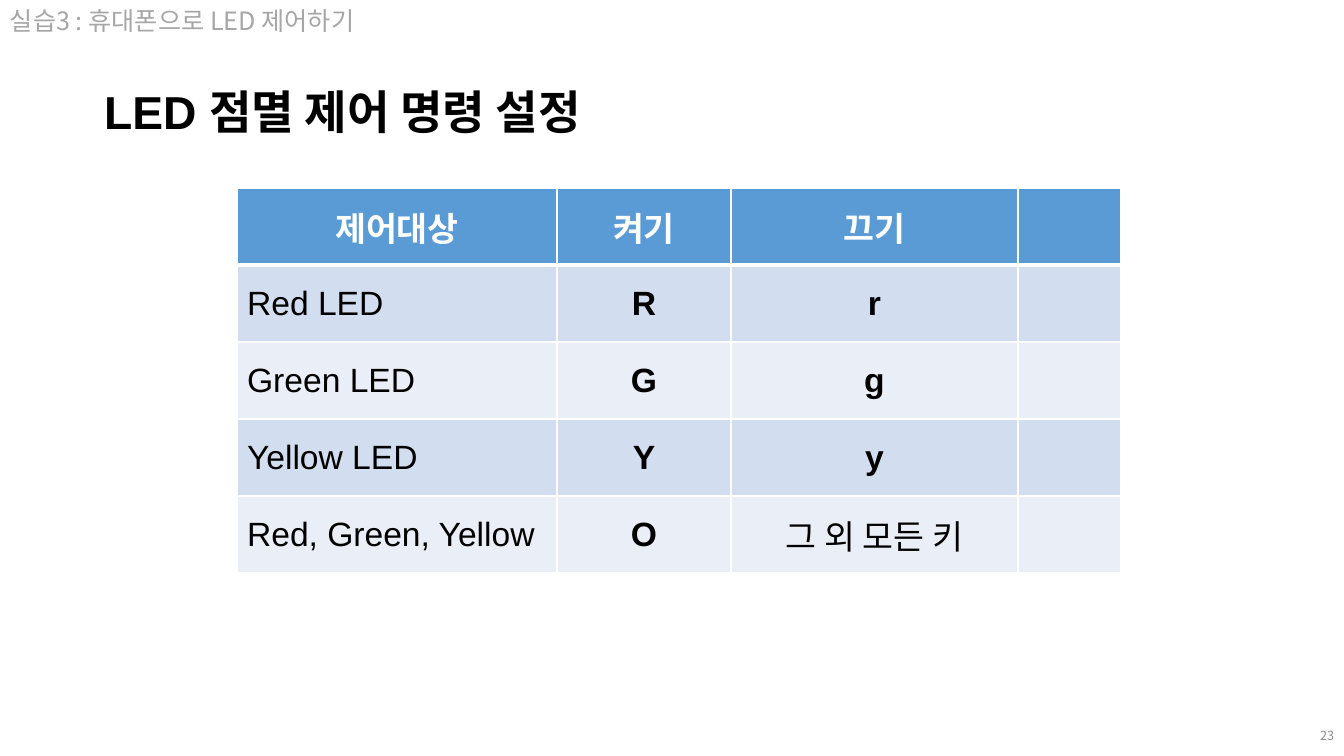
from lxml.etree import SubElement
from pptx import Presentation
from pptx.dml.color import RGBColor
from pptx.enum.text import MSO_ANCHOR, MSO_AUTO_SIZE, PP_ALIGN
from pptx.oxml import parse_xml
from pptx.oxml.ns import nsdecls, qn
from pptx.util import Emu, Pt

TITLE = "LED 점멸 제어 명령 설정"
TOPIC = "실습3 : 휴대폰으로 LED 제어하기"
PAGE = "23"
ROWS = [
    ("제어대상", "켜기", "끄기", ""),
    ("Red LED", "R", "r", ""),
    ("Green LED", "G", "g", ""),
    ("Yellow LED", "Y", "y", ""),
    ("Red, Green, Yellow", "O", "그 외 모든 키", ""),
]
WIDTHS = [320, 174, 287, 103]
HIGH = 77

LATIN = "Arial"
HANGUL = "Noto Sans CJK KR"
BLACK = RGBColor(0x00, 0x00, 0x00)
WHITE = RGBColor(0xFF, 0xFF, 0xFF)
GRAY = RGBColor(0xA6, 0xA6, 0xA6)
DIM = RGBColor(0x8C, 0x8C, 0x8C)
BLUE = RGBColor(0x5B, 0x9B, 0xD5)
BANDS = [RGBColor(0xEA, 0xEF, 0xF7), RGBColor(0xD2, 0xDE, 0xEF)]


def px(num):
    return Emu(round(num * 914400 / 100.8))


def write(frame, text, size=24, font=LATIN, color=BLACK, bold=False,
          align=PP_ALIGN.LEFT, space=None):
    para = frame.paragraphs[0]
    para.alignment = align
    para.line_spacing = space
    run = para.add_run()
    run.text = text
    run.font.size = Pt(size)
    run.font.bold = bold
    run.font.color.rgb = color
    run.font.name = font
    SubElement(run.font._element, qn("a:ea")).set("typeface", HANGUL)


def edge(cell, top, base):
    sides = [("lnL", 1), ("lnR", 1), ("lnT", top), ("lnB", base)]
    for spot, (side, wide) in enumerate(sides):
        line = parse_xml(
            f'<a:{side} {nsdecls("a")} w="{Pt(wide)}"><a:solidFill>'
            f'<a:srgbClr val="{WHITE}"/></a:solidFill></a:{side}>')
        cell._tc.get_or_add_tcPr().insert(spot, line)


deck = Presentation()
deck.slide_width, deck.slide_height = px(1344), px(756)
slide = deck.slides.add_slide(deck.slide_layouts[5])

title = slide.shapes.title
title.left, title.top, title.width, title.height = map(px, (94, 82, 869, 66))
title.text_frame.vertical_anchor = MSO_ANCHOR.MIDDLE
title.text_frame.auto_size = MSO_AUTO_SIZE.NONE
write(title.text_frame, TITLE, size=33, bold=True, space=0.9)

page = slide.shapes.add_textbox(*map(px, (1298, 716, 46, 40))).text_frame
page.word_wrap = True
page.vertical_anchor = MSO_ANCHOR.MIDDLE
write(page, PAGE, size=9, font=HANGUL, color=DIM, align=PP_ALIGN.RIGHT)

topic = slide.shapes.add_textbox(*map(px, (0, 0, 399, 40))).text_frame
topic.word_wrap = False
topic.auto_size = MSO_AUTO_SIZE.SHAPE_TO_FIT_TEXT
write(topic, TOPIC, size=18, font=HANGUL, color=GRAY)

table = slide.shapes.add_table(
    len(ROWS), len(WIDTHS),
    *map(px, (237, 188, sum(WIDTHS), HIGH * len(ROWS)))).table
for col, wide in zip(table.columns, WIDTHS):
    col.width = px(wide)
for r, row in enumerate(ROWS):
    table.rows[r].height = px(HIGH)
    head = r == 0
    for c, text in enumerate(row):
        cell = table.cell(r, c)
        cell.vertical_anchor = MSO_ANCHOR.MIDDLE
        cell.fill.solid()
        cell.fill.fore_color.rgb = BLUE if head else BANDS[r % 2]
        edge(cell, 3 if r == 1 else 1, 3 if head else 1)
        if text:
            write(cell.text_frame, text,
                  font=HANGUL if head else LATIN,
                  color=WHITE if head else BLACK,
                  bold=head or len(text) == 1,
                  align=PP_ALIGN.CENTER if head or c else PP_ALIGN.LEFT)

deck.save("out.pptx")
